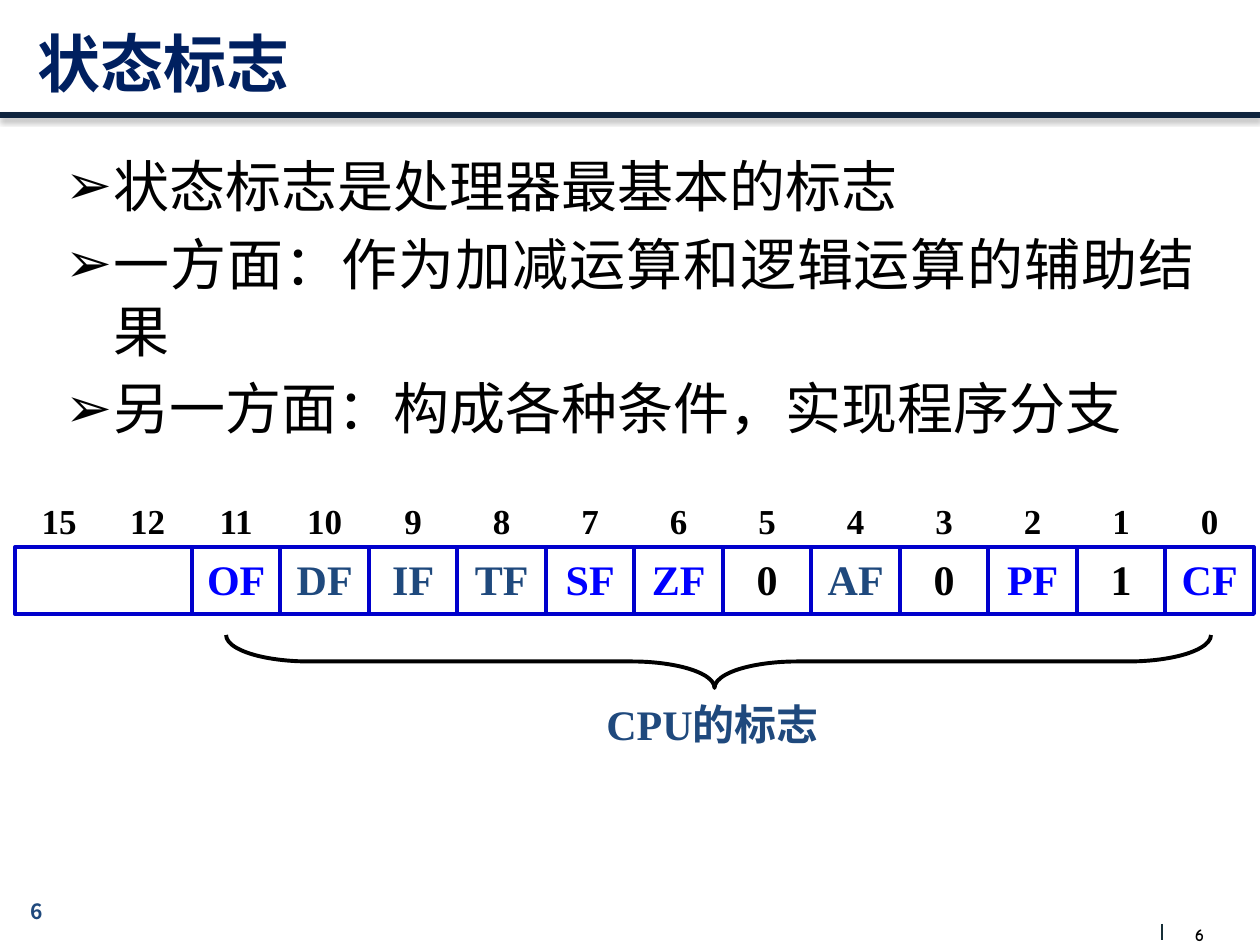
from dataclasses import dataclass

from lxml import etree
from pptx import Presentation
from pptx.dml.color import RGBColor
from pptx.enum.shapes import MSO_CONNECTOR, MSO_SHAPE
from pptx.enum.text import MSO_ANCHOR, MSO_AUTO_SIZE, PP_ALIGN
from pptx.oxml import parse_xml
from pptx.oxml.ns import nsdecls, qn
from pptx.util import Emu, Pt

STRAIGHT = MSO_CONNECTOR.STRAIGHT
RECT, BRACE = MSO_SHAPE.RECTANGLE, MSO_SHAPE.RIGHT_BRACE
LEFT, CENTER, JUSTIFY = PP_ALIGN.LEFT, PP_ALIGN.CENTER, PP_ALIGN.JUSTIFY
TOP, MIDDLE = MSO_ANCHOR.TOP, MSO_ANCHOR.MIDDLE
NO_FIT = MSO_AUTO_SIZE.NONE

PX_PER_INCH = 126


@dataclass(frozen=True)
class Theme:
    black: str = "000000"
    navy: str = "002060"
    slate: str = "1F497D"
    flag_blue: str = "0000FF"
    cell_border: str = "0000CC"
    header_rule: str = "0F243E"
    footer_rule: str = "172F37"
    sans: str = "Arial"
    serif: str = "Times New Roman"
    page_font: str = "Noto Sans CJK SC"
    footer_font: str = "Comic Neue"
    title_size: int = 36
    body_size: int = 32
    flag_size: int = 24
    bit_size: int = 20
    page_size: int = 12
    footer_size: int = 10


THEME = Theme()

TITLE = "状态标志"
POINTS = [
    "状态标志是处理器最基本的标志",
    "一方面：作为加减运算和逻辑运算的辅助结果",
    "另一方面：构成各种条件，实现程序分支",
]
BIT_NUMBERS = [15, 12, 11, 10, 9, 8, 7, 6, 5, 4, 3, 2, 1, 0]
RESERVED_COLUMNS = 2
FLAGS = ["OF", "DF", "IF", "TF", "SF", "ZF", "0", "AF", "0", "PF", "1", "CF"]
STATUS_FLAGS = {"OF", "SF", "ZF", "PF", "CF"}
FIXED_BITS = {"0", "1"}
CAPTION = "CPU的标志"
PAGE = "6"

# Register layout in px
REGISTER_LEFT, REGISTER_WIDTH = 15, 1239
BIT_TOP, BIT_HEIGHT = 493, 54
CELL_TOP, CELL_HEIGHT = 547, 67

# Brace layout in px, before its quarter turn
BRACE_DEPTH, BRACE_SPAN, TIP_OFFSET = 53, 985, 4


def px(length):
    return Emu(round(length * 914400 / PX_PER_INCH))


def box(*lengths):
    return [px(length) for length in lengths]


def apply_format(target, values):
    for name, value in values.items():
        setattr(target, name, value)


def format_font(font, name, size, color, bold=True):
    apply_format(font, {"name": name, "size": Pt(size), "bold": bold})
    font.color.rgb = RGBColor.from_string(color)


def write_line(frame, text, name, size, color, align=CENTER):
    paragraph = frame.paragraphs[0]
    apply_format(paragraph, {"text": text, "alignment": align, "space_before": Pt(0)})
    format_font(paragraph.font, name, size, color)


def add_label(shapes, place, text, name, size, color, **frame_format):
    frame = shapes.add_textbox(*box(*place)).text_frame
    apply_format(frame, {"word_wrap": True, **frame_format})
    write_line(frame, text, name, size, color)


def add_outline(shapes, kind, place, color):
    shape = shapes.add_shape(kind, *box(*place))
    shape.shadow.inherit = False
    shape.fill.background()
    shape.line.color.rgb = RGBColor.from_string(color)
    shape.line.width = Pt(2.25)
    return shape


def add_rule(shapes, ends, color, width):
    rule = shapes.add_connector(STRAIGHT, *box(*ends))
    rule.line.color.rgb = RGBColor.from_string(color)
    rule.line.width = Pt(width)
    return etree.SubElement(rule._element.spPr, qn("a:effectLst"))


def add_header(slide):
    effects = add_rule(slide.shapes, (0, 115, 1260, 115), THEME.header_rule, 3)
    effects.append(parse_xml(
        f'<a:outerShdw {nsdecls("a")} blurRad="{Pt(3.1)}" dist="{Pt(1.8)}" '
        'dir="5400000" rotWithShape="0"><a:srgbClr val="000000">'
        '<a:alpha val="35000"/></a:srgbClr></a:outerShdw>'))


def place_placeholder(placeholder, place, anchor):
    names = ("left", "top", "width", "height")
    apply_format(placeholder, dict(zip(names, box(*place))))
    apply_format(placeholder.text_frame, {
        "vertical_anchor": anchor, "word_wrap": True, "auto_size": NO_FIT})
    return placeholder.text_frame


def fill_title(slide):
    frame = place_placeholder(slide.shapes.title, (25, 0, 1201, 125), MIDDLE)
    write_line(frame, TITLE, THEME.sans, THEME.title_size, THEME.navy, LEFT)


def fill_points(slide):
    frame = place_placeholder(slide.placeholders[1], (53, 145, 1155, 735), TOP)
    for index, point in enumerate(POINTS):
        paragraph = frame.paragraphs[0] if index == 0 else frame.add_paragraph()
        apply_format(paragraph, {
            "text": point, "alignment": JUSTIFY, "space_before": Pt(6 if index else 0)})
        properties = paragraph._p.get_or_add_pPr()
        properties.set("marL", str(px(48)))
        properties.set("indent", str(px(-48)))
        etree.SubElement(properties, qn("a:buChar"), char="➢")
        format_font(paragraph.font, THEME.sans, THEME.body_size, THEME.black, False)


def flag_color(flag):
    if flag in STATUS_FLAGS:
        return THEME.flag_blue
    return THEME.black if flag in FIXED_BITS else THEME.slate


def add_register(shapes):
    column = REGISTER_WIDTH / len(BIT_NUMBERS)

    # Bit numbers above the register
    for index, bit in enumerate(BIT_NUMBERS):
        place = (REGISTER_LEFT + index * column, BIT_TOP, column, BIT_HEIGHT)
        add_label(shapes, place, str(bit), THEME.serif, THEME.bit_size, THEME.black)

    # Reserved high bits, then one cell per flag
    reserved_width = RESERVED_COLUMNS * column
    add_outline(shapes, RECT, (REGISTER_LEFT, CELL_TOP, reserved_width, CELL_HEIGHT),
                THEME.cell_border)
    for index, flag in enumerate(FLAGS, RESERVED_COLUMNS):
        place = (REGISTER_LEFT + index * column, CELL_TOP, column, CELL_HEIGHT)
        cell = add_outline(shapes, RECT, place, THEME.cell_border)
        cell.text_frame.vertical_anchor = TOP
        write_line(cell.text_frame, flag, THEME.serif, THEME.flag_size, flag_color(flag))


def add_brace(shapes):
    place = (692, 169, BRACE_DEPTH, BRACE_SPAN)
    brace = add_outline(shapes, BRACE, place, THEME.black)
    brace.rotation = 90
    brace.adjustments[0] = 1.56
    brace.adjustments[1] = 0.5 + TIP_OFFSET / BRACE_SPAN
    add_label(shapes, (558, 692, 309, 63), CAPTION,
              THEME.serif, THEME.flag_size, THEME.slate)


def add_footer(slide):
    no_margins = dict.fromkeys(
        ("margin_left", "margin_top", "margin_right", "margin_bottom"), 0)
    add_label(slide.shapes, (1178, 924, 43, 21), PAGE, THEME.footer_font,
              THEME.footer_size, THEME.black, **no_margins)
    add_rule(slide.shapes, (1162, 924, 1162, 940), THEME.footer_rule, 0.75)
    add_label(slide.shapes, (0, 892, 73, 42), PAGE, THEME.page_font,
              THEME.page_size, THEME.slate)


def main():
    deck = Presentation()
    deck.slide_width, deck.slide_height = box(1260, 945)
    slide = deck.slides.add_slide(deck.slide_layouts[1])
    add_header(slide)
    fill_title(slide)
    fill_points(slide)
    flag_diagram = slide.shapes.add_group_shape().shapes
    add_brace(flag_diagram)
    add_register(flag_diagram)
    add_footer(slide)
    deck.save("out.pptx")


if __name__ == "__main__":
    main()
